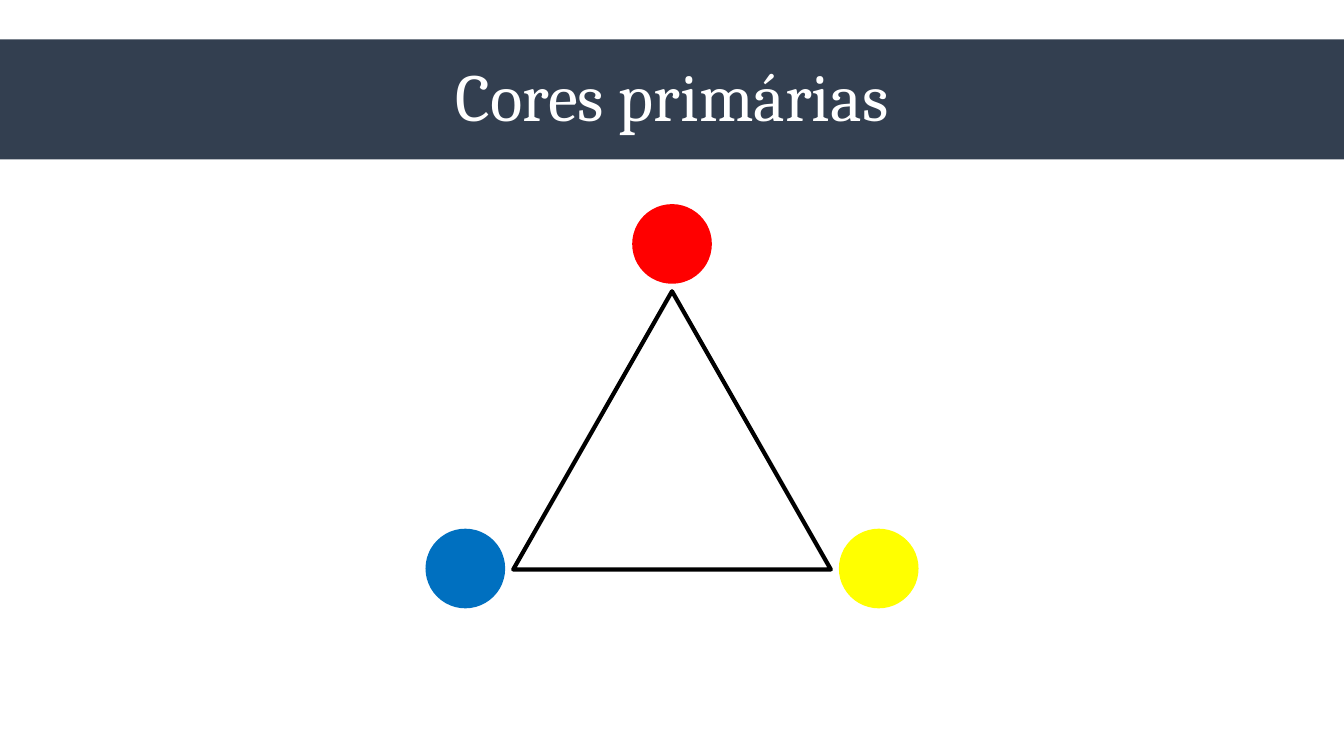
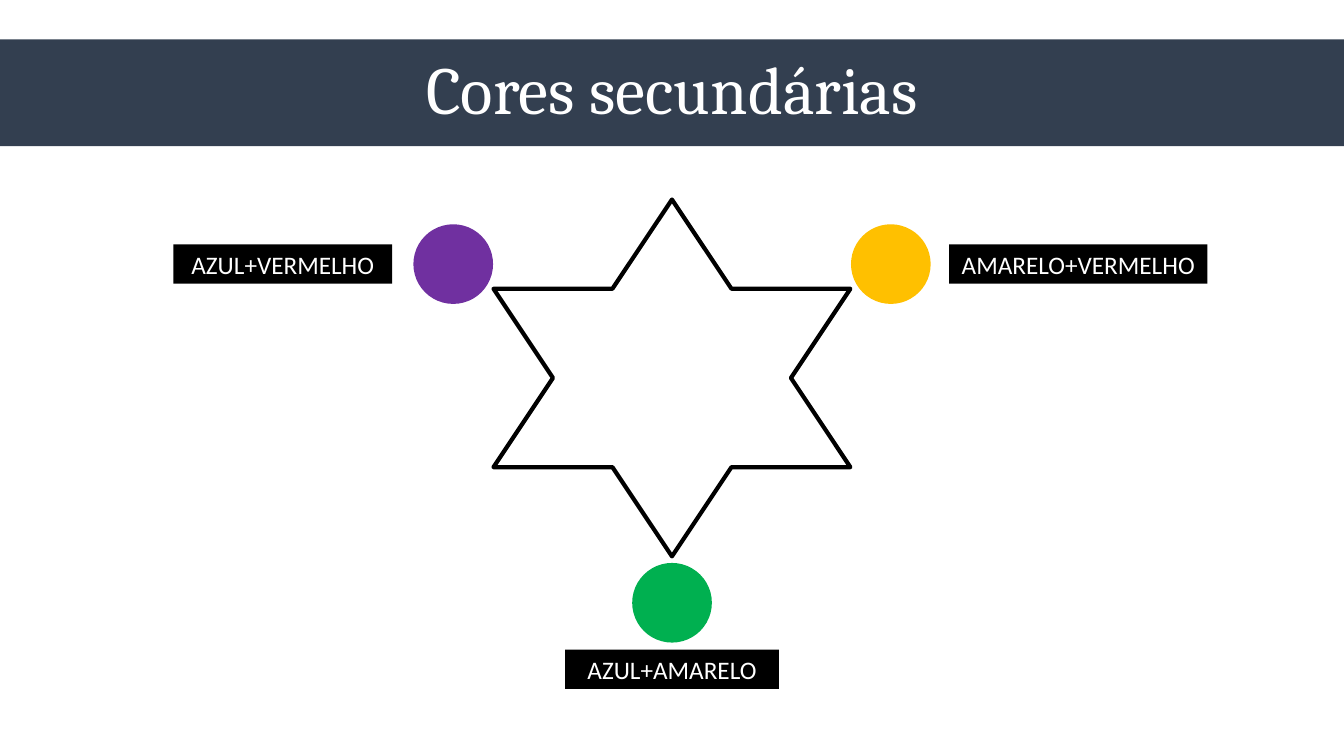
import pptx
import pptx.util
import pptx.dml.color
import pptx.enum.shapes
import pptx.enum.text

Inch = pptx.util.Inches
Kind = pptx.enum.shapes.MSO_SHAPE

HUES = {
    "band": "333F50", "white": "FFFFFF", "black": "000000",
    "red": "FF0000", "yellow": "FFFF00", "blue": "0070C0",
    "purple": "7030A0", "green": "00B050", "orange": "FFC000",
}
WIDE, HIGH = 13.33, 7.5
MID = WIDE / 2
BAND_TOP = 0.39
DOT = 0.79
TAG = 0.39

# Content: x values are offsets from the slide's middle, y values are centres
# figure: kind, width, height, y; dots: hue, x, y; tags: text, x, y, width
SLIDES = [
    {
        "title": "Cores primárias", "band": 1.19,
        "figure": (Kind.ISOSCELES_TRIANGLE, 3.15, 2.76, 4.27),
        "dots": [("red", 0, 2.42), ("yellow", 2.05, 5.64), ("blue", -2.05, 5.64)],
        "tags": [],
    },
    {
        "title": "Cores secundárias", "band": 1.06,
        "figure": (Kind.STAR_6_POINT, 3.54, 3.54, 3.75),
        "dots": [("purple", -2.17, 2.62), ("green", 0, 5.98), ("orange", 2.17, 2.62)],
        "tags": [
            ("AZUL+VERMELHO", -3.86, 2.62, 2.17),
            ("AMARELO+VERMELHO", 4.03, 2.62, 2.56),
            ("AZUL+AMARELO", 0, 6.64, 2.12),
        ],
    },
]


def color(name):
    return pptx.dml.color.RGBColor.from_string(HUES[name])


def place(slide, kind, x, y, wide, high, fill, line=None):
    """Add a shape centred x from the slide's middle, at height y."""
    shape = slide.shapes.add_shape(
        kind, Inch(MID + x - wide / 2), Inch(y - high / 2), Inch(wide), Inch(high))
    shape.shadow.inherit = False
    shape.fill.solid()
    shape.fill.fore_color.rgb = color(fill)
    if line:
        shape.line.color.rgb = color(line)
        shape.line.width = pptx.util.Pt(3)
    else:
        shape.line.fill.background()
    return shape


def write(shape, text, font="Calibri", size=18, hue="white", space=1.0, wrap=True):
    frame = shape.text_frame
    frame.word_wrap = wrap
    frame.vertical_anchor = pptx.enum.text.MSO_ANCHOR.MIDDLE
    para = frame.paragraphs[0]
    para.alignment = pptx.enum.text.PP_ALIGN.CENTER
    para.line_spacing = space
    run = para.add_run()
    run.text = text
    run.font.name = font
    run.font.size = pptx.util.Pt(size)
    run.font.color.rgb = color(hue)


def build(deck, page):
    slide = deck.slides.add_slide(deck.slide_layouts[6])

    # Title band
    high = page["band"]
    band = place(slide, Kind.RECTANGLE, 0, BAND_TOP + high / 2, WIDE, high, "band")
    write(band, page["title"], font="Cambria", size=48, space=0.9)

    # Central figure
    kind, wide, high, y = page["figure"]
    place(slide, kind, 0, y, wide, high, "white", line="black")

    # Colour dots and their mixes
    for hue, x, y in page["dots"]:
        place(slide, Kind.OVAL, x, y, DOT, DOT, hue)
    for text, x, y, wide in page["tags"]:
        tag = place(slide, Kind.RECTANGLE, x, y, wide, TAG, "black")
        write(tag, text, wrap=False)


def main():
    deck = pptx.Presentation()
    deck.slide_width, deck.slide_height = Inch(WIDE), Inch(HIGH)
    for page in SLIDES:
        build(deck, page)
    deck.save("out.pptx")


if __name__ == "__main__":
    main()
